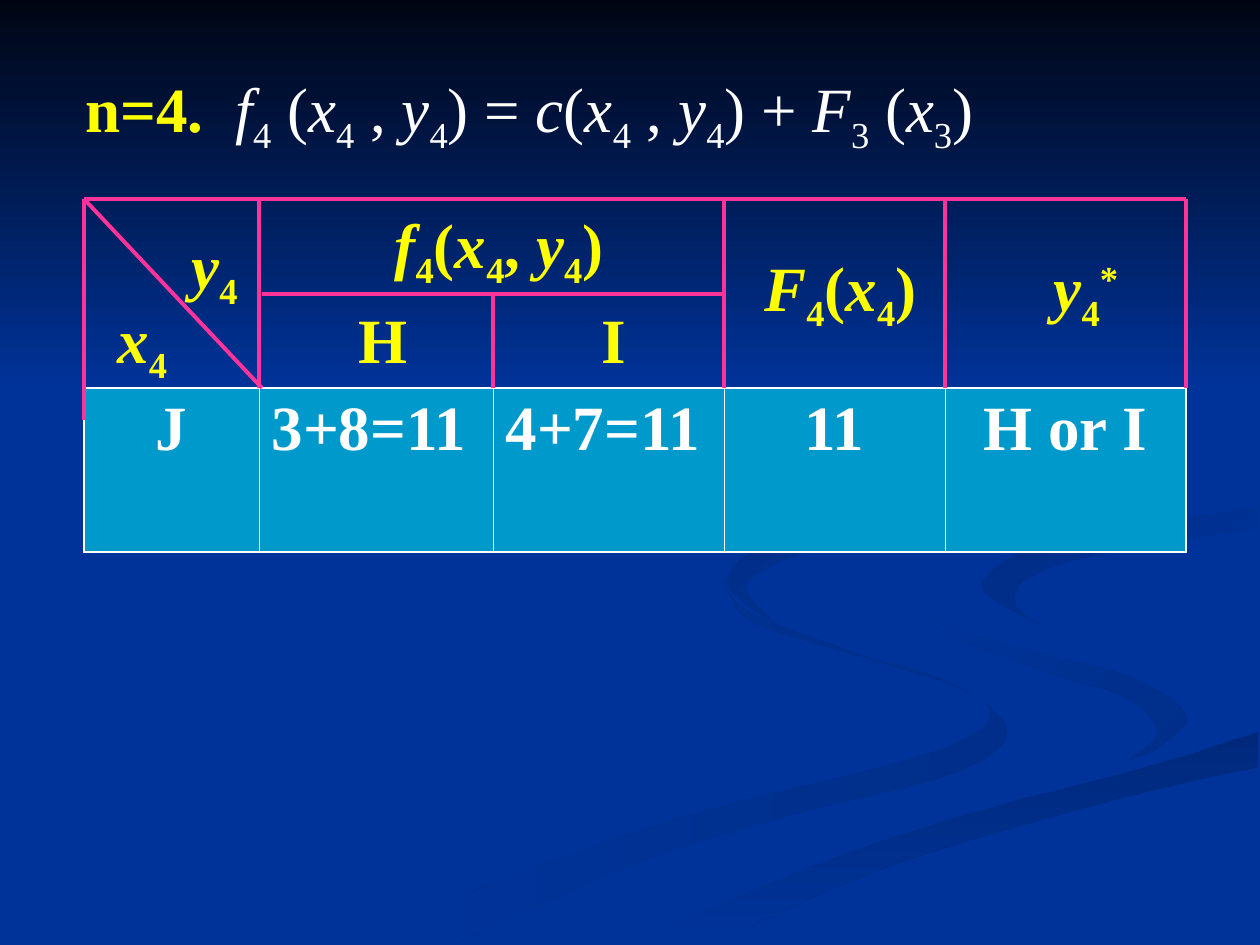
from dataclasses import dataclass
from itertools import accumulate, chain, groupby

from lxml import etree
from pptx import Presentation
from pptx.dml.color import RGBColor
from pptx.enum.shapes import MSO_CONNECTOR
from pptx.enum.text import MSO_ANCHOR, MSO_AUTO_SIZE, PP_ALIGN
from pptx.oxml.ns import qn
from pptx.util import Pt

LEFT, CENTER = PP_ALIGN.LEFT, PP_ALIGN.CENTER
TOP = MSO_ANCHOR.TOP
GROW = MSO_AUTO_SIZE.SHAPE_TO_FIT_TEXT
STRAIGHT = MSO_CONNECTOR.STRAIGHT
EMU_PER_PX = 914400 / 126
SLIDE_WIDTH, SLIDE_HEIGHT = 1260, 945
SHIFTS = {"_": -25000, "^": 30000}
CURVE_STEPS = 6


@dataclass(frozen=True)
class Theme:
    font: str = "Times New Roman"
    size: int = 36
    background: str = "003399"
    night: str = "000514"
    bend_shade: str = "002E8A"
    road_shade: str = "00297C"
    tip_shade: str = "002C85"
    upper_shade: str = "002B81"
    heading: str = "FFFF00"
    body: str = "FFFFFF"
    cell: str = "0099CC"
    rule: str = "FF3399"
    rule_width: float = 2.25
    outer_border: float = 1.08
    inner_border: float = 0.45
    label_gap: float = 22.5
    cell_gap: float = 9


THEME = Theme()
COLUMN_WIDTHS = [175, 234, 231, 221, 241]
COLUMN_EDGES = list(accumulate(COLUMN_WIDTHS, initial=84))
HEAD_TOP, HEAD_MIDDLE, HEAD_BOTTOM, ROW_HEIGHT = 199, 294, 388, 164
DIAGONAL_END, LEFT_RULE_END = 262, 420
DECISION = ["J", "3+8=11", "4+7=11", "11", "H or I"]

LABELS = [
    ("y_4", (179, 220, 84, 100), LEFT, True),
    ("x_4", (105, 294, 94, 100), LEFT, True),
    ("f_4(x_4, y_4)", (368, 199, 262, 100), CENTER, True),
    ("F_4(x_4)", (746, 242, 189, 100), CENTER, True),
    ("y_4^*", (1018, 242, 136, 100), CENTER, True),
    ("I", (546, 294, 136, 88), CENTER, False),
    ("H", (336, 294, 94, 88), CENTER, False)]


def px(length):
    return round(length * EMU_PER_PX)


def rgb(color):
    return RGBColor.from_string(color)


def smooth(knots):
    padded = [knots[0], *knots, knots[-1]]
    curve = [knots[0]]
    for before, start, end, after in zip(padded, padded[1:], padded[2:], padded[3:]):
        for step in range(1, CURVE_STEPS + 1):
            t = step / CURVE_STEPS
            curve.append(tuple(
                round((2 * b + (c - a) * t + (2 * a - 5 * b + 4 * c - d) * t ** 2
                       + (3 * b - a - 3 * c + d) * t ** 3) / 2)
                for a, b, c, d in zip(before, start, end, after)))
    return curve


def add_swirl(slide, edges, start_color, end_color, angle):
    outline = list(chain.from_iterable(smooth(edge) for edge in edges))
    builder = slide.shapes.build_freeform(*outline[0], scale=EMU_PER_PX)
    builder.add_line_segments(outline[1:], close=True)
    paint(builder.convert_to_shape(), start_color, end_color, angle)


def paint(area, start_color, end_color, angle):
    area.shadow.inherit = False
    area.line.fill.background()
    if start_color == end_color:
        area.fill.solid()
        area.fill.fore_color.rgb = rgb(start_color)
        return
    area.fill.gradient()
    area.fill.gradient_angle = angle
    for stop, color, position in zip(area.fill.gradient_stops, (start_color, end_color), (0, 1)):
        stop.color.rgb = rgb(color)
        stop.position = position


def add_backdrop(slide):
    base = THEME.background
    lower_outer = [(724, 578), (748, 611), (859, 654), (954, 684), (1008, 732),
                   (953, 774), (785, 817), (629, 866), (455, 944)]
    lower_inner = [(724, 578), (747, 619), (824, 646), (948, 684), (990, 713),
                   (956, 743), (862, 772), (679, 818), (474, 891), (378, 944)]
    right_outer = [(914, 585), (956, 627), (1047, 654), (1140, 680), (1188, 718), (1154, 752)]
    right_inner = [(914, 585), (940, 630), (1056, 675), (1124, 697), (1157, 732), (1126, 762)]
    road_crest = [(634, 944), (794, 873), (964, 815), (1139, 769), (1258, 732)]
    road_foot = [(719, 944), (818, 895), (948, 847), (1138, 794), (1258, 767)]
    main_tail = [(1124, 762), (1062, 779), (887, 825), (780, 862), (601, 944)]
    main_bank = [(1259, 678), (1139, 654), (1013, 611), (984, 583), (1036, 547), (1133, 527), (1259, 507)]
    main_lip = [(1259, 488), (1159, 505), (993, 532), (914, 585)]
    tip_outer = [(1258, 507), (1131, 527), (1034, 546), (984, 580), (997, 602), (1041, 625)]
    tip_inner = [(1258, 529), (1106, 553), (1028, 578), (1016, 605), (1041, 625)]
    upper_outer = [(960, 294), (1062, 347), (1126, 433), (1077, 493), (931, 530),
                   (818, 549), (764, 570), (747, 592), (784, 630)]
    upper_inner = [(960, 294), (1066, 352), (1120, 422), (1061, 476), (887, 515),
                   (775, 541), (727, 582), (784, 630)]

    add_swirl(slide, [lower_outer, lower_inner[::-1]], THEME.bend_shade, base, 180)
    add_swirl(slide, [right_outer, right_inner[::-1]], THEME.bend_shade, base, 135)
    add_swirl(slide, [road_crest, road_foot[::-1]], THEME.road_shade, base, 270)
    add_swirl(slide, [right_outer, main_tail, road_crest, main_bank, main_lip], base, base, 0)
    add_swirl(slide, [tip_outer, tip_inner[::-1]], base, THEME.tip_shade, 135)
    add_swirl(slide, [upper_outer, upper_inner[::-1]], base, THEME.upper_shade, 135)
    sky_corners = [(0, 0), (0, HEAD_BOTTOM), (SLIDE_WIDTH, HEAD_BOTTOM), (SLIDE_WIDTH, 0)]
    add_swirl(slide, [[corner] for corner in sky_corners], THEME.night, base, 270)


def write_text(paragraph, text, *, color, bold=True, variables=False, gap=THEME.label_gap, align=LEFT):
    paragraph.alignment = align
    paragraph.space_before = Pt(gap)
    glyphs = [(char, (SHIFTS.get(mark, 0), variables and char.isalpha()))
              for mark, char in zip(" " + text, text) if char not in SHIFTS]
    for (shift, italic), group in groupby(glyphs, key=lambda glyph: glyph[1]):
        run = paragraph.add_run()
        run.text = "".join(char for char, _ in group)
        run.font.name, run.font.size = THEME.font, Pt(THEME.size)
        run.font.bold, run.font.italic = bold, italic
        run.font.color.rgb = rgb(color)
        if shift:
            run._r.get_or_add_rPr().set("baseline", str(shift))


def fit_frame(frame):
    frame.word_wrap = True
    frame.auto_size = GROW
    frame.vertical_anchor = TOP
    return frame.paragraphs[0]


def add_label(slide, text, box, align, variables):
    label = slide.shapes.add_textbox(*map(px, box))
    write_text(fit_frame(label.text_frame), text, color=THEME.heading, variables=variables, align=align)


def add_rule(slide, *ends):
    rule = slide.shapes.add_connector(STRAIGHT, *map(px, ends))
    rule.line.color.rgb = rgb(THEME.rule)
    rule.line.width = Pt(THEME.rule_width)
    etree.SubElement(rule._element.spPr, qn("a:effectLst"))


def set_borders(cell, widths):
    properties = cell._tc.get_or_add_tcPr()
    for position, (side, width) in enumerate(widths.items()):
        border = etree.Element(qn(f"a:ln{side}"), w=str(Pt(width)))
        fill = etree.SubElement(border, qn("a:solidFill"))
        etree.SubElement(fill, qn("a:srgbClr"), val=THEME.body)
        properties.insert(position, border)


def add_decision_table(slide):
    box = COLUMN_EDGES[0], HEAD_BOTTOM, sum(COLUMN_WIDTHS), ROW_HEIGHT
    table = slide.shapes.add_table(1, len(DECISION), *map(px, box)).table
    table.first_row = table.horz_banding = False
    outer, inner = THEME.outer_border, THEME.inner_border
    last = len(DECISION) - 1
    for index, (text, width) in enumerate(zip(DECISION, COLUMN_WIDTHS)):
        table.columns[index].width = px(width)
        cell = table.cell(0, index)
        cell.fill.solid()
        cell.fill.fore_color.rgb = rgb(THEME.cell)
        set_borders(cell, {"L": outer if index == 0 else inner, "R": outer if index == last else inner,
                           "T": outer, "B": outer})
        write_text(cell.text_frame.paragraphs[0], text, color=THEME.body, gap=THEME.cell_gap,
                   align=LEFT if "=" in text else CENTER)


def add_table_head(slide):
    left, stage, choice, value, best, right = COLUMN_EDGES
    add_rule(slide, left, HEAD_TOP, right, HEAD_TOP)
    add_rule(slide, left, HEAD_TOP, left, LEFT_RULE_END)
    for edge in (stage, value, best, right):
        add_rule(slide, edge, HEAD_BOTTOM, edge, HEAD_TOP)
    add_rule(slide, choice, HEAD_BOTTOM, choice, HEAD_MIDDLE)
    add_rule(slide, DIAGONAL_END, HEAD_MIDDLE, value, HEAD_MIDDLE)
    add_rule(slide, DIAGONAL_END, HEAD_BOTTOM, left, HEAD_TOP)
    for label in LABELS:
        add_label(slide, *label)


def set_title(slide):
    title = slide.shapes.title
    title.left, title.top, title.width, title.height = map(px, (73, 63, 1113, 100))
    paragraph = fit_frame(title.text_frame)
    write_text(paragraph, "n=4.\t", color=THEME.heading)
    write_text(paragraph, "f_4 (x_4 , y_4) = c(x_4 , y_4) + F_3 (x_3)", color=THEME.body, bold=False, variables=True)
    tabs = etree.SubElement(paragraph._p.get_or_add_pPr(), qn("a:tabLst"))
    etree.SubElement(tabs, qn("a:tab"), pos=str(px(150)), algn="l")
    title.element.getparent().append(title.element)


def main():
    deck = Presentation()
    deck.slide_width, deck.slide_height = px(SLIDE_WIDTH), px(SLIDE_HEIGHT)
    slide = deck.slides.add_slide(deck.slide_layouts[5])
    slide.background.fill.solid()
    slide.background.fill.fore_color.rgb = rgb(THEME.background)
    add_backdrop(slide)
    add_decision_table(slide)
    add_table_head(slide)
    set_title(slide)
    deck.save("out.pptx")


if __name__ == "__main__":
    main()
